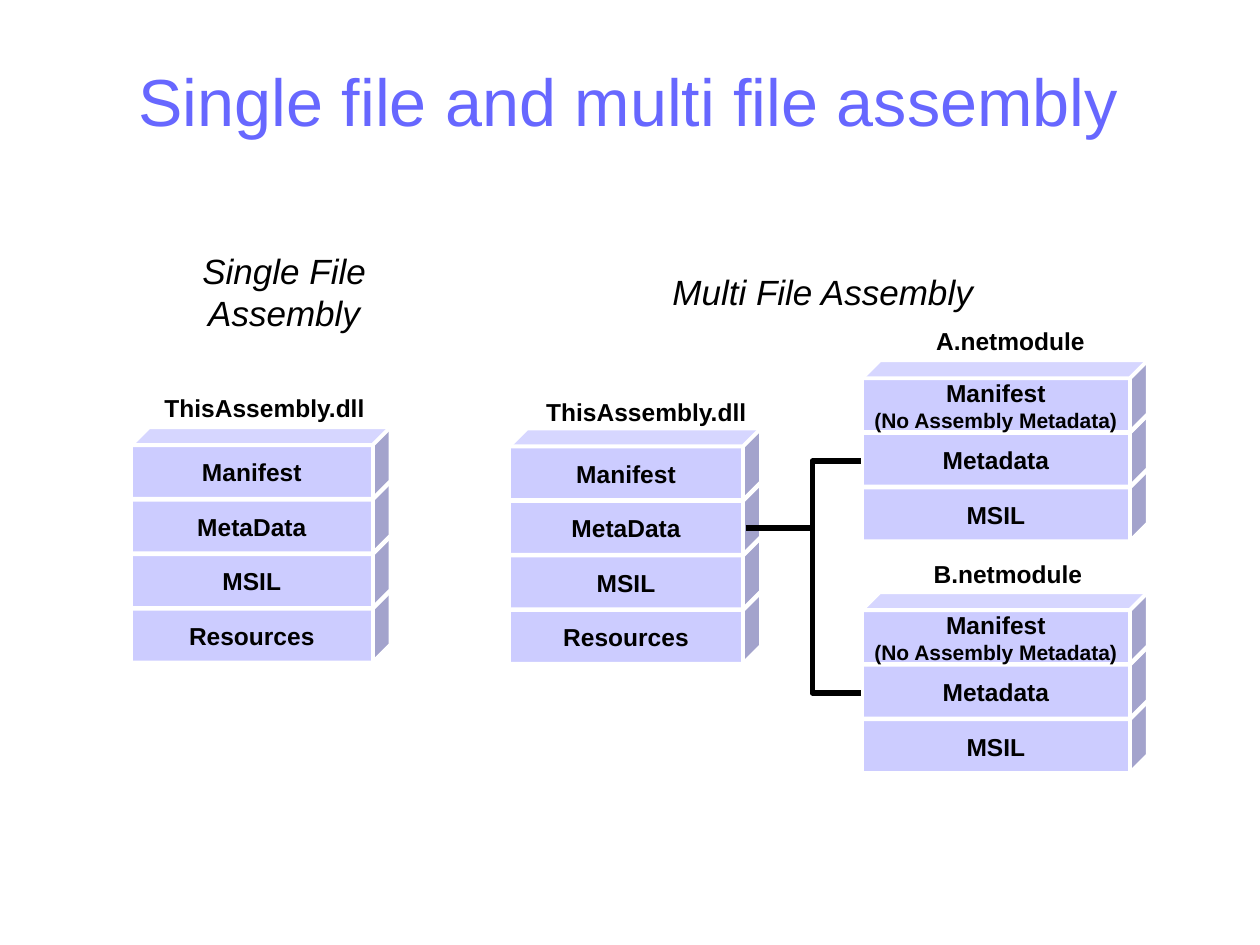
"""Build the slide that compares single file and multi file assemblies."""
from lxml.etree import SubElement
from pptx import Presentation
from pptx.dml.color import RGBColor
from pptx.enum.shapes import MSO_CONNECTOR, MSO_SHAPE
from pptx.enum.text import MSO_ANCHOR, PP_ALIGN
from pptx.oxml.ns import qn
from pptx.util import Inches, Pt

TITLE_BLUE = RGBColor(0x67, 0x67, 0xFF)
LAVENDER = RGBColor(0xCC, 0xCC, 0xFF)
WHITE = RGBColor(0xFF, 0xFF, 0xFF)
BLACK = RGBColor(0, 0, 0)

ROW = 0.433
CUBE_HEIGHT = 0.57
CAPTION_WIDTH, CAPTION_HEIGHT = 1.8, 0.34
HEADING_TOP, HEADING_HEIGHT = 2.02, 0.59


def write_text(shape, text, sizes, anchor, bold=False, italic=False):
    """Put centred black text into a shape, with one size for each paragraph."""
    text_frame = shape.text_frame
    text_frame.text = text
    text_frame.word_wrap = False
    text_frame.vertical_anchor = anchor
    for paragraph, size in zip(text_frame.paragraphs, sizes):
        paragraph.alignment = PP_ALIGN.CENTER
        for run in paragraph.runs:
            run.font.name = "Arial"
            run.font.size = Pt(size)
            run.font.bold = bold
            run.font.italic = italic
            run.font.color.rgb = BLACK


presentation = Presentation()
presentation.slide_width = Inches(10)
presentation.slide_height = Inches(7.5)
slide = presentation.slides.add_slide(presentation.slide_layouts[5])

title = slide.shapes.title
title.left, title.top, title.width, title.height = (
    Inches(length) for length in (1, 0.17, 9, 1.25))
title.text_frame.text = "Single file and multi file assembly"
title.text_frame.vertical_anchor = MSO_ANCHOR.MIDDLE
title_paragraph = title.text_frame.paragraphs[0]
title_paragraph.alignment = PP_ALIGN.LEFT
title_font = title_paragraph.runs[0].font
title_font.name = "Arial"
title_font.size = Pt(38)
title_font.color.rgb = TITLE_BLUE

headings = [("Single File Assembly", 0.9, 2.71), ("Multi File Assembly", 3.8, 5.46)]
for text, left, width in headings:
    heading = slide.shapes.add_textbox(
        Inches(left), Inches(HEADING_TOP), Inches(width), Inches(HEADING_HEIGHT))
    write_text(heading, text, [20], MSO_ANCHOR.MIDDLE, italic=True)

assembly_parts = ["Manifest", "MetaData", "MSIL", "Resources"]
module_parts = ["Manifest\n(No Assembly Metadata)", "Metadata", "MSIL"]
stacks = [
    ("ThisAssembly.dll", 2.1, 3.07, 1.04, 3.39, 2.06, assembly_parts),
    ("ThisAssembly.dll", 5.13, 3.1, 4.04, 3.4, 2, assembly_parts),
    ("A.netmodule", 8.02, 2.54, 6.84, 2.86, 2.27, module_parts),
    ("B.netmodule", 8, 4.39, 6.84, 4.7, 2.27, module_parts),
]
for name, caption_centre, caption_top, left, top, width, parts in stacks:
    for row, part in reversed(list(enumerate(parts))):
        cube = slide.shapes.add_shape(
            MSO_SHAPE.CUBE, Inches(left), Inches(top + row * ROW),
            Inches(width), Inches(CUBE_HEIGHT))
        cube.shadow.inherit = False
        cube.fill.solid()
        cube.fill.fore_color.rgb = LAVENDER
        cube.line.color.rgb = WHITE
        cube.line.width = Pt(2.25)
        write_text(cube, part, [14, 12], MSO_ANCHOR.MIDDLE, bold=True)
    caption = slide.shapes.add_textbox(
        Inches(caption_centre - CAPTION_WIDTH / 2), Inches(caption_top),
        Inches(CAPTION_WIDTH), Inches(CAPTION_HEIGHT))
    write_text(caption, name, [14], MSO_ANCHOR.TOP, bold=True)

for module_y in (3.66, 5.5):
    connector = slide.shapes.add_connector(
        MSO_CONNECTOR.ELBOW, Inches(5.92), Inches(4.19), Inches(6.83), Inches(module_y))
    connector.line.color.rgb = BLACK
    connector.line.width = Pt(3)
    properties = connector.element.spPr
    SubElement(properties, qn("a:effectLst"))
    adjustments = properties.find(qn("a:prstGeom")).find(qn("a:avLst"))
    SubElement(adjustments, qn("a:gd"), name="adj1", fmla="val 57800")

presentation.save("out.pptx")
